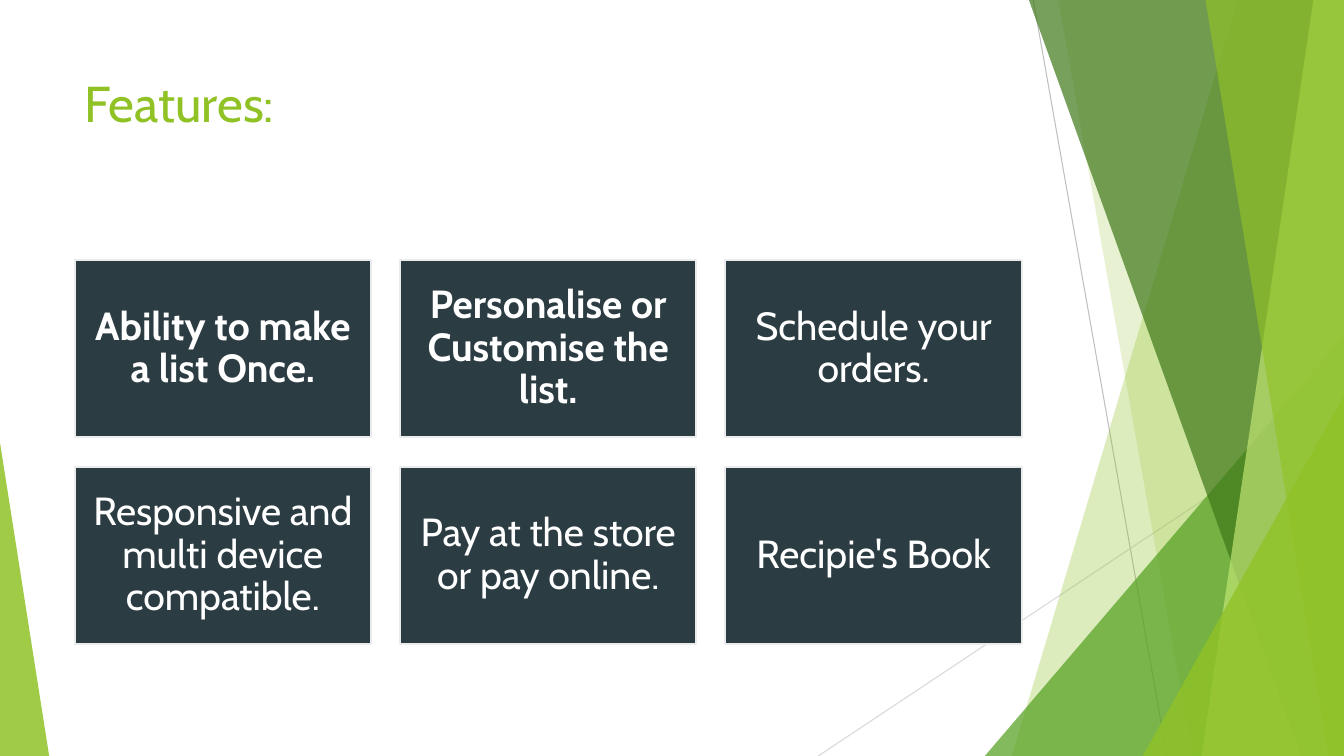
import dataclasses

import lxml.etree
import pptx
import pptx.dml.color
import pptx.enum.shapes
import pptx.enum.text
import pptx.oxml.ns
import pptx.util

Cm = pptx.util.Cm
Pt = pptx.util.Pt
Align = pptx.enum.text.PP_ALIGN
Anchor = pptx.enum.text.MSO_ANCHOR
Kind = pptx.enum.shapes.MSO_SHAPE


@dataclasses.dataclass(frozen=True)
class Theme:
    font: str = "Cabin"
    title_size: int = 36
    card_size: int = 28
    lime: str = "90C226"
    green: str = "54A021"
    forest: str = "3F7819"
    pale: str = "C0E474"
    slate: str = "2C3C43"
    card_edge: str = "EBEBEB"
    white: str = "FFFFFF"
    grey: str = "BFBFBF"
    light_grey: str = "D9D9D9"


THEME = Theme()
WIDTH, HEIGHT = 33.87, 19.05

# Cards, row by row: text and whether it is bold
COLUMNS = 3
FEATURES = [
    ("Ability to make a list Once.", True),
    ("Personalise or Customise the list.", True),
    ("Schedule your orders.", False),
    ("Responsive and multi device compatible.", False),
    ("Pay at the store or pay online.", False),
    ("Recipie's Book", False),
]


def rgb(colour):
    return pptx.dml.color.RGBColor.from_string(colour)


def add_element(parent, tag):
    return lxml.etree.SubElement(parent, pptx.oxml.ns.qn(tag))


def paint(shape, colour, opacity=100):
    """Plain fill with no line or shadow."""
    shape.shadow.inherit = False
    shape.fill.solid()
    shape.fill.fore_color.rgb = rgb(colour)
    shape.line.fill.background()
    if opacity < 100:
        tint = shape._element.spPr.find(
            pptx.oxml.ns.qn("a:solidFill") + "/" + pptx.oxml.ns.qn("a:srgbClr"))
        add_element(tint, "a:alpha").set("val", str(opacity * 1000))


def write(box, text, *, size, colour, bold=False, align=Align.LEFT,
          anchor=Anchor.TOP, spacing=1.0, inset=None):
    frame = box.text_frame
    frame.word_wrap = True
    frame.auto_size = pptx.enum.text.MSO_AUTO_SIZE.NONE
    frame.vertical_anchor = anchor
    if inset is not None:
        frame.margin_left = frame.margin_right = Cm(inset)
        frame.margin_top = frame.margin_bottom = Cm(inset)
    para = frame.paragraphs[0]
    para.alignment = align
    para.line_spacing = spacing
    span = para.add_run()
    span.text = text
    span.font.name = THEME.font
    span.font.size = Pt(size)
    span.font.bold = bold
    span.font.color.rgb = rgb(colour)


def add_line(page, start, end, colour):
    line = page.shapes.add_connector(
        pptx.enum.shapes.MSO_CONNECTOR.STRAIGHT,
        *(Cm(value) for value in (*start, *end)))
    line.line.color.rgb = rgb(colour)
    line.line.width = Pt(0.75)
    add_element(line._element.spPr, "a:effectLst")


def add_panel(page, top_x, bottom_x, colour, opacity):
    """Full-height panel from a slanted left edge to the right slide edge."""
    outline = page.shapes.build_freeform(Cm(top_x), 0)
    outline.add_line_segments([
        (Cm(WIDTH), 0), (Cm(WIDTH), Cm(HEIGHT)), (Cm(bottom_x), Cm(HEIGHT))])
    paint(outline.convert_to_shape(), colour, opacity)


def add_wedge(page, left, top, width, apex, colour, opacity):
    """Triangle standing on the bottom edge; apex 0 is left, 1 is right."""
    wedge = page.shapes.add_shape(
        Kind.ISOSCELES_TRIANGLE,
        Cm(left), Cm(top), Cm(width), Cm(HEIGHT - top))
    wedge.adjustments[0] = apex
    paint(wedge, colour, opacity)


def add_card(page, left, top, text, bold):
    card = page.shapes.add_shape(
        Kind.RECTANGLE, Cm(left), Cm(top), Cm(7.47), Cm(4.47))
    paint(card, THEME.slate)
    card.line.color.rgb = rgb(THEME.card_edge)
    card.line.width = Pt(1.5)
    write(card, text, size=THEME.card_size, colour=THEME.white, bold=bold,
          align=Align.CENTER, anchor=Anchor.MIDDLE, spacing=0.9, inset=0.3)


def add_title(page, text):
    title = page.shapes.title
    title.left, title.top = Cm(1.88), Cm(1.7)
    title.width, title.height = Cm(23.88), Cm(3.66)
    write(title, text, size=THEME.title_size, colour=THEME.lime)


def add_decoration(page):
    add_line(page, (26.04, 0), (29.41, HEIGHT), THEME.grey)
    add_line(page, (WIDTH, 10.24), (20.62, HEIGHT), THEME.light_grey)
    add_panel(page, 31.19, 25.5, THEME.lime, 30)
    add_panel(page, 26.67, 30.05, THEME.lime, 20)
    add_wedge(page, 24.82, 8.46, 9.05, 1, THEME.green, 72)
    add_panel(page, 25.93, 32.79, THEME.forest, 70)
    add_panel(page, 33.1, 30.28, THEME.pale, 70)
    add_panel(page, 30.38, 33.48, THEME.lime, 65)
    add_wedge(page, 28.8, 9.98, 5.07, 1, THEME.lime, 80)
    add_wedge(page, 0, 11.15, 1.24, 0, THEME.lime, 85)


def main():
    deck = pptx.Presentation()
    deck.slide_width, deck.slide_height = Cm(WIDTH), Cm(HEIGHT)
    page = deck.slides.add_slide(deck.slide_layouts.get_by_name("Title Only"))

    add_decoration(page)
    add_title(page, "Features:")

    # Card grid
    for index, (text, bold) in enumerate(FEATURES):
        row, column = divmod(index, COLUMNS)
        add_card(page, 1.88 + column * 8.2, 6.55 + row * 5.21, text, bold)

    deck.save("out.pptx")


if __name__ == "__main__":
    main()
